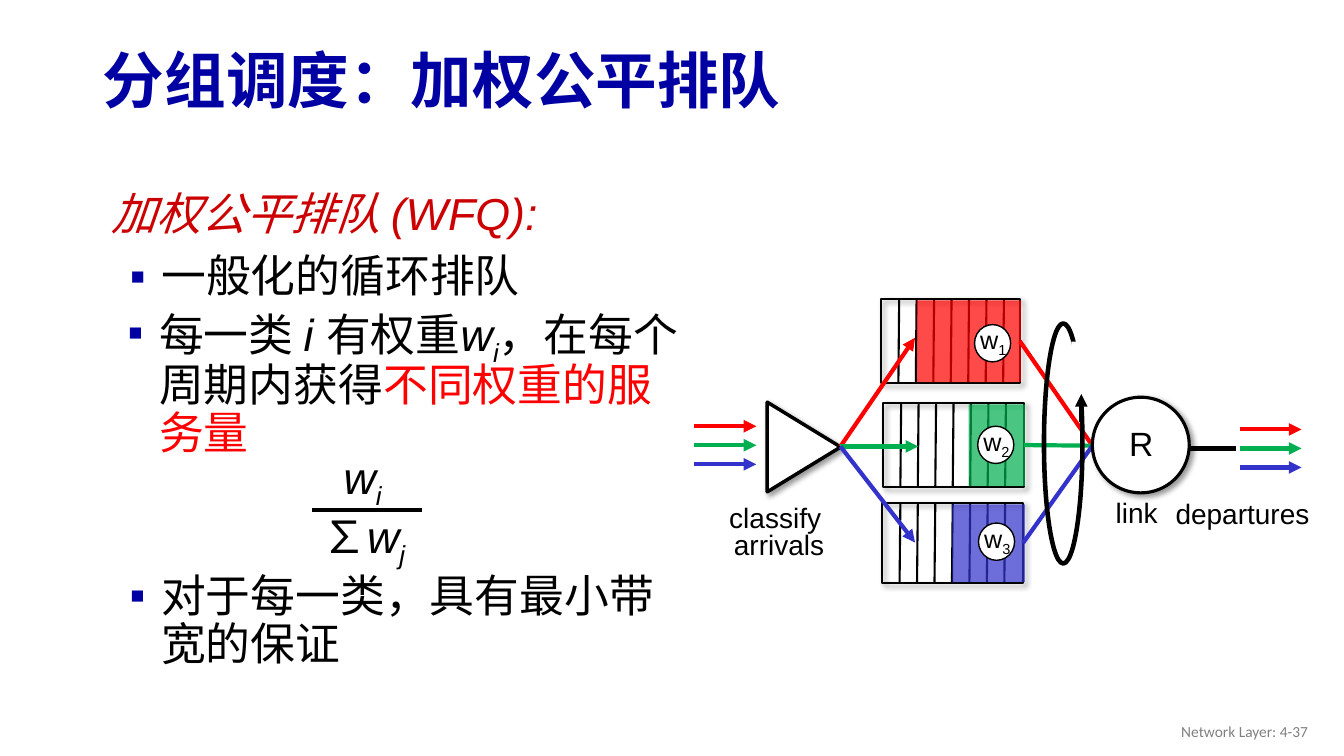
from lxml import etree
from pptx import Presentation
from pptx import util as u
from pptx.dml.color import RGBColor
from pptx.enum import shapes, text
from pptx.oxml import parse_xml
from pptx.oxml.ns import nsdecls, qn

Cm, Pt, rgb = u.Cm, u.Pt, RGBColor.from_string
M, AL = shapes.MSO_SHAPE, text.PP_ALIGN
RED, GREEN, BLUE, BLACK, WHITE, NAVY = "FF0000", "00B050", "3333CC", "000000", "FFFFFF", "0000A3"
CJK = "Noto Sans CJK SC"
SHADOW = ('<a:outerShdw blurRad="50800" dist="38100" dir="2700000" algn="tl" rotWithShape="0">'
          '<a:srgbClr val="000000"><a:alpha val="40000"/></a:srgbClr></a:outerShdw>')

prs = Presentation()
prs.slide_width, prs.slide_height = Cm(33.87), Cm(19.05)
slide = prs.slides.add_slide(prs.slide_layouts[1])


def draw(kind, box, fill=None, line=None, width=1.5, shadow=False, arrow=False, alpha=None):
    """Draw a preset shape in box, or a straight line with box as its two ends if kind is None."""
    box = [Cm(v) for v in box]
    if kind is None:
        sp = slide.shapes.add_connector(shapes.MSO_CONNECTOR.STRAIGHT, *box)
    else:
        sp = slide.shapes.add_shape(kind, *box)
        if fill:
            sp.fill.solid()
            sp.fill.fore_color.rgb = rgb(fill)
        else:
            sp.fill.background()
    if line:
        sp.line.color.rgb = rgb(line)
        sp.line.width = Pt(width)
    else:
        sp.line.fill.background()
    spPr = sp.element.spPr
    if alpha:
        color = spPr.find(qn("a:solidFill"))[0]
        etree.SubElement(color, qn("a:alpha"), val=str(alpha * 1000))
    if arrow:
        etree.SubElement(spPr.find(qn("a:ln")), qn("a:tailEnd"), type="triangle")
    spPr.append(parse_xml(f'<a:effectLst {nsdecls("a")}>{SHADOW if shadow else ""}</a:effectLst>'))
    return sp


def write(box, paragraphs, size, sp=None, wrap=False, align=AL.LEFT, spacing=1.0,
          anchor=text.MSO_ANCHOR.TOP, **base):
    """Fill sp, or a new text box, with paragraphs of (marker, runs); a run is (text, formats)."""
    box = [Cm(v) for v in box]
    if sp is None:
        sp = slide.shapes.add_textbox(*box)
    else:
        sp.left, sp.top, sp.width, sp.height = box
    tf = sp.text_frame
    tf.word_wrap, tf.vertical_anchor = wrap, anchor
    tf.auto_size = text.MSO_AUTO_SIZE.NONE if wrap else text.MSO_AUTO_SIZE.SHAPE_TO_FIT_TEXT
    for i, (marker, runs) in enumerate(paragraphs):
        p = tf.add_paragraph() if i else tf.paragraphs[0]
        p.alignment, p.line_spacing = align, spacing
        p.space_before = Pt(10 if i and marker else 0)
        pPr = p._p.get_or_add_pPr()
        if marker == "bullet":
            pPr.set("marL", str(Cm(1.63)))
            pPr.set("indent", str(-Cm(0.79)))
            color = etree.SubElement(pPr, qn("a:buClr"))
            etree.SubElement(color, qn("a:srgbClr"), val=NAVY)
            etree.SubElement(pPr, qn("a:buFont"), typeface="Arial")
            etree.SubElement(pPr, qn("a:buChar"), char="▪")
        elif marker == "heading":
            pPr.set("marL", str(Cm(0.99)))
            pPr.set("indent", str(-Cm(0.61)))
            etree.SubElement(pPr, qn("a:buNone"))
        for words, own in runs:
            r = p.add_run()
            r.text = words
            formats = {"size": Pt(size), "name": "Arial", "color": BLACK, **base, **own}
            r.font.color.rgb = rgb(formats.pop("color"))
            baseline = formats.pop("baseline", None)
            for name, value in formats.items():
                setattr(r.font, name, value)
            rPr = r._r.get_or_add_rPr()
            etree.SubElement(rPr, qn("a:ea"), typeface=CJK)
            if baseline:
                rPr.set("baseline", str(baseline))


ITALIC, SUB = {"italic": True}, {"baseline": -25000}
ITALIC_SUB = {**ITALIC, **SUB}

# Title and list
write((2.34, 0.86, 29.21, 2.49), [(None, [("分组调度：加权公平排队", {})])], 44,
      sp=slide.shapes.title, wrap=True, spacing=0.9, anchor=text.MSO_ANCHOR.MIDDLE,
      color=NAVY, bold=True)
write((2.18, 4.7, 15.44, 3.1),
      [("heading", [("加权公平排队 (WFQ):", {"color": "CC0000", **ITALIC})]),
       ("bullet", [("一般化的循环排队", {})])],
      32, sp=slide.placeholders[1], wrap=True, spacing=0.9)
write((2.13, 7.62, 15.44, 3.94),
      [("bullet", [("每一类 ", {}), ("i ", ITALIC), ("有权重", {}), ("w", ITALIC), ("i", ITALIC_SUB),
                   ("，在每个周期内获得", {}), ("不同权重的服务量", {"color": RED})])],
      32, wrap=True, spacing=0.9)
write((2.18, 14.33, 15.44, 2.92), [("bullet", [("对于每一类，具有最小带宽的保证", {})])],
      32, wrap=True, spacing=0.9)

# Weight fraction
write((8.41, 11.2, 1.5, 1.63), [(None, [("w", ITALIC), ("i", ITALIC_SUB)])], 32)
write((7.87, 12.7, 2.64, 1.63),
      [(None, [("∑", {"name": CJK}), ("w", ITALIC), ("j", ITALIC_SUB)])], 32)
draw(None, (7.87, 12.85, 10.64, 12.85), line=BLACK, width=3)

# Queues: frame, colour, left edge and width of the filled part
queues = [((22.2, 7.54, 3.5, 2.11), RED, 23.11, 2.62),
          ((22.25, 10.16, 3.55, 2.11), GREEN, 24.41, 1.42),
          ((22.23, 12.68, 3.55, 2.01), BLUE, 24.0, 1.83)]
frames = []
for (x, y, w, h), color, fill_x, fill_w in queues:
    frames.append(draw(M.RECTANGLE, (x, y, w, h), line=BLACK, shadow=True))
    for i in range(1, 8):
        divider = x + 0.44 * i
        draw(None, (divider + 0.02, y, divider, y + h), line=BLACK)
    draw(M.RECTANGLE, (fill_x, y + 0.03, fill_w, h - 0.05), fill=color, alpha=71)

# Classifier, arrivals and departures
classifier = draw(M.ISOSCELES_TRIANGLE, (19.13, 10.34, 2.26, 1.85), WHITE, BLACK, 2.5, shadow=True)
classifier.rotation = 90
draw(None, (29.87, 11.3, 31.14, 11.3), line=BLACK, width=3)
for x, y in ((17.5, 10.74), (31.24, 10.82)):
    for i, (_, color, *_) in enumerate(queues):
        draw(None, (x, y + 0.48 * i, x + 1.56, y + 0.48 * i), line=color, width=3, arrow=True)

# Paths into and out of the queues
for (_, color, *_), frame, end in zip(queues, frames, [(23.06, 8.51), (23.14, 11.25), (23.06, 13.67)]):
    draw(None, (21.18, 11.25, *end), line=color, width=3, arrow=True)
    link = draw(None, (25.8, 11.23, 27.53, 11.23), line=color, width=3)
    link.begin_connect(frame, 3)

# Server and rotation ring
draw(M.OVAL, (27.53, 10.01, 2.44, 2.41), WHITE, BLACK, 2.25, shadow=True)
draw(M.OVAL, (26.31, 8.15, 0.97, 6.05), line=BLACK, width=3.25)
draw(M.RECTANGLE, (27, 8.61, 0.53, 1.63), WHITE)
draw(None, (27.25, 10.64, 27.25, 9.93), line=BLACK, width=3, arrow=True)

# Queue weights
for i, (x, y) in enumerate([(24.56, 8.18), (24.64, 10.74), (24.66, 13.18)], 1):
    draw(M.OVAL, (x, y, 0.91, 0.94), WHITE, BLACK, 1)
    write((x - 0.11, y - 0.13, 1.22, 1.02), [(None, [("w", {}), (str(i), SUB)])], 18)

# Labels
for box, lines, size in [((18.11, 12.65, 3.05, 1.63), ["classify ", "arrivals"], 20),
                         ((27.86, 12.52, 1.57, 0.94), ["link"], 20),
                         ((29.36, 12.55, 3.91, 0.94), ["departures"], 20),
                         ((28.19, 10.74, 1.14, 1.07), ["R"], 24)]:
    write(box, [(None, [(words, {})]) for words in lines], size, align=AL.CENTER, spacing=0.8)
write((25.6, 17.91, 7.62, 1.02), [(None, [("Network Layer: 4-37", {})])], 11, wrap=True,
      align=AL.RIGHT, anchor=text.MSO_ANCHOR.MIDDLE, color="808080", name="Calibri")

prs.save("out.pptx")
